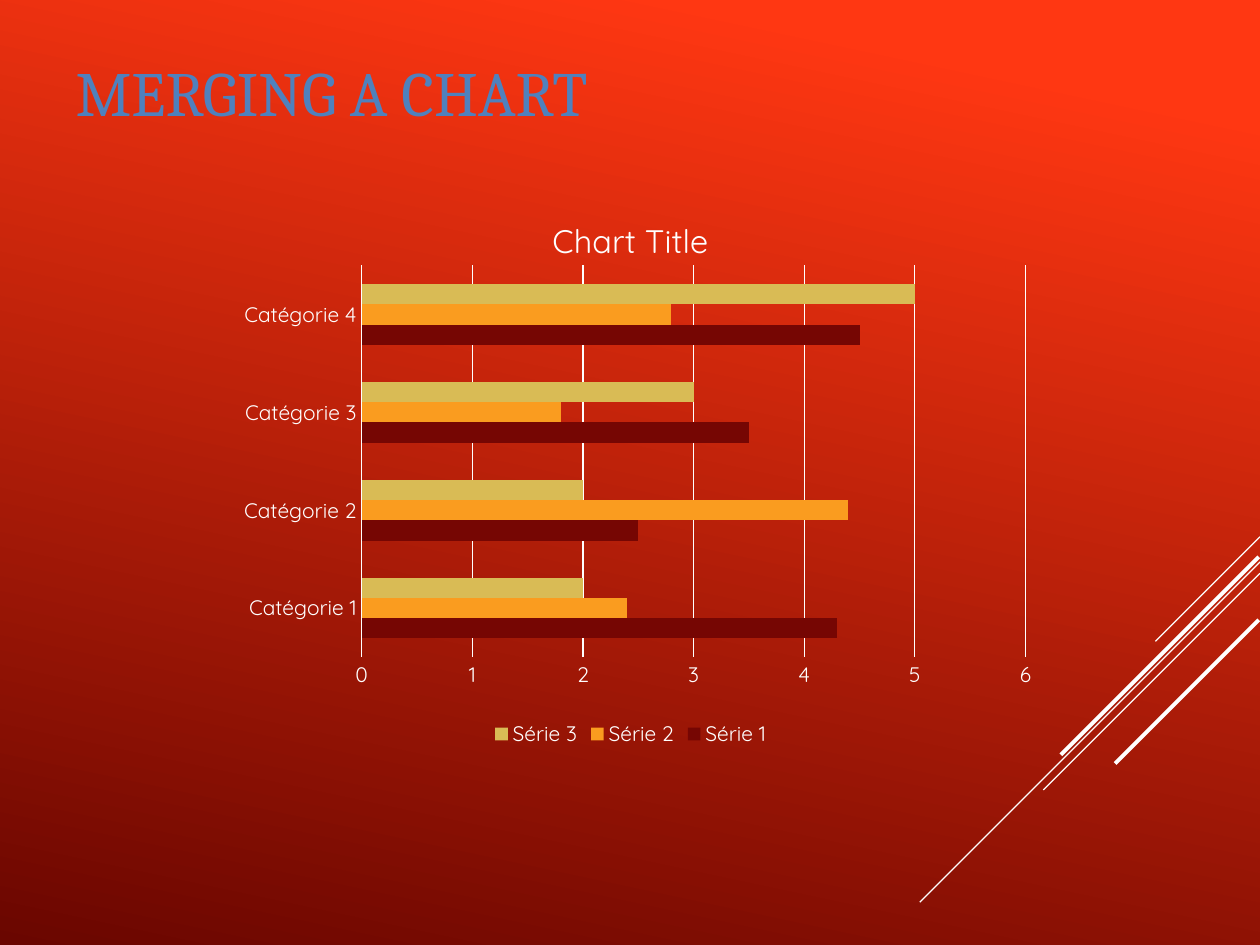
from lxml import etree
from pptx import Presentation
from pptx.chart.data import CategoryChartData
from pptx.dml.color import RGBColor
from pptx.enum.chart import XL_CHART_TYPE, XL_LEGEND_POSITION, XL_TICK_MARK
from pptx.enum.shapes import MSO_CONNECTOR
from pptx.enum.text import MSO_ANCHOR, PP_ALIGN
from pptx.oxml import parse_xml
from pptx.oxml.ns import nsdecls, qn
from pptx.util import Inches, Pt

BAR_CLUSTERED = XL_CHART_TYPE.BAR_CLUSTERED
LEGEND_BOTTOM = XL_LEGEND_POSITION.BOTTOM
NO_TICKS = XL_TICK_MARK.NONE
STRAIGHT = MSO_CONNECTOR.STRAIGHT
MIDDLE = MSO_ANCHOR.MIDDLE
LEFT = PP_ALIGN.LEFT

WHITE = RGBColor(0xFF, 0xFF, 0xFF)
BRIGHT_RED = RGBColor(0xFF, 0x37, 0x12)
DARK_RED = RGBColor(0x6A, 0x06, 0x00)
TITLE_BLUE = RGBColor(0x4F, 0x81, 0xBD)
MAROON = RGBColor(0x76, 0x06, 0x03)
ORANGE = RGBColor(0xFA, 0x9C, 0x1F)
SAND = RGBColor(0xD9, 0xBB, 0x55)

TITLE_FONT = "Cambria"
CHART_FONT = "Quicksand"

CATEGORIES = [f"Catégorie {number}" for number in range(1, 5)]
SERIES = [
    ("Série 1", (4.3, 2.5, 3.5, 4.5), MAROON),
    ("Série 2", (2.4, 4.4, 1.8, 2.8), ORANGE),
    ("Série 3", (2, 2, 3, 5), SAND),
]
STRIPES = [
    (4.95, 0, 0.83, 0.75),
    (4.95, 0.2, 2.7, 0.75),
    (4.95, 0.29, 1.72, 0.75),
    (4.94, 0.16, 1.57, 2.25),
    (4.94, 0.66, 1.14, 2.25),
]


def paint_background(slide):
    fill = slide.background.fill
    fill.gradient()
    fill.gradient_angle = 258
    for stop, position, color in zip(
        fill.gradient_stops, (0.1, 1), (BRIGHT_RED, DARK_RED)
    ):
        stop.position = position
        stop.color.rgb = color


def add_stripes(slide, left, top):
    for right, drop, reach, weight in STRIPES:
        stripe = slide.shapes.add_connector(
            STRAIGHT,
            Inches(left + right),
            Inches(top + drop),
            Inches(left + right - reach),
            Inches(top + drop + reach),
        )
        stripe.line.color.rgb = WHITE
        stripe.line.width = Pt(weight)
        properties = stripe.element.find(qn("p:spPr"))
        etree.SubElement(properties, qn("a:effectLst"))


def place_title(slide, left, top, width, height):
    title = slide.shapes.title
    title.left, title.top = Inches(left), Inches(top)
    title.width, title.height = Inches(width), Inches(height)
    frame = title.text_frame
    frame.text = "MERGING A CHART"
    frame.vertical_anchor = MIDDLE
    heading = frame.paragraphs[0]
    heading.alignment = LEFT
    style_font(heading.font, 36, TITLE_FONT, TITLE_BLUE)


def style_font(font, size, name=CHART_FONT, color=WHITE):
    font.size = Pt(size)
    font.name = name
    font.bold = False
    font.color.rgb = color


def style_line(line):
    line.color.rgb = WHITE
    line.width = Pt(0.75)


def set_plot_area(chart, x, y, w, h):
    plot_area = chart.element.find(f".//{qn('c:plotArea')}")
    for old_layout in plot_area.findall(qn("c:layout")):
        plot_area.remove(old_layout)
    sizes = "".join(
        f'<c:{tag} val="{value}"/>' for tag, value in zip("xywh", (x, y, w, h))
    )
    plot_area.insert(0, parse_xml(
        f'<c:layout {nsdecls("c")}><c:manualLayout>'
        '<c:layoutTarget val="inner"/><c:xMode val="edge"/><c:yMode val="edge"/>'
        f"{sizes}</c:manualLayout></c:layout>"
    ))


def add_bar_chart(slide, left, top, width, height):
    data = CategoryChartData()
    data.categories = CATEGORIES
    for name, values, _ in SERIES:
        data.add_series(name, values)
    chart = slide.shapes.add_chart(
        BAR_CLUSTERED, Inches(left), Inches(top), Inches(width), Inches(height), data
    ).chart
    style_font(chart.font, 10)

    chart.has_title = True
    chart.chart_title.include_in_layout = False
    heading = chart.chart_title.text_frame
    heading.text = "Chart Title"
    style_font(heading.paragraphs[0].font, 18.6)

    chart.has_legend = True
    chart.legend.position = LEGEND_BOTTOM
    chart.legend.include_in_layout = False
    style_font(chart.legend.font, 12)

    for axis in (chart.category_axis, chart.value_axis):
        axis.major_tick_mark = NO_TICKS
        axis.minor_tick_mark = NO_TICKS
        style_font(axis.tick_labels.font, 12)
    style_line(chart.category_axis.format.line)
    chart.value_axis.format.line.fill.background()
    chart.value_axis.has_major_gridlines = True
    style_line(chart.value_axis.major_gridlines.format.line)

    bars = chart.plots[0]
    bars.gap_width = 182
    bars.vary_by_categories = False
    for series, (_, _, color) in zip(bars.series, SERIES):
        series.format.fill.solid()
        series.format.fill.fore_color.rgb = color
    set_plot_area(chart, 0.18, 0.13, 0.79, 0.7)


def build_chart_slide(presentation):
    slide = presentation.slides.add_slide(presentation.slide_layouts[5])
    paint_background(slide)
    add_stripes(slide, 5.05, 4.26)
    place_title(slide, 0.5, 0.3, 4.58, 0.85)
    add_bar_chart(slide, 1.67, 1.53, 6.67, 4.44)


presentation = Presentation()
presentation.slide_width = Inches(10)
presentation.slide_height = Inches(7.5)
build_chart_slide(presentation)
presentation.save("out.pptx")
